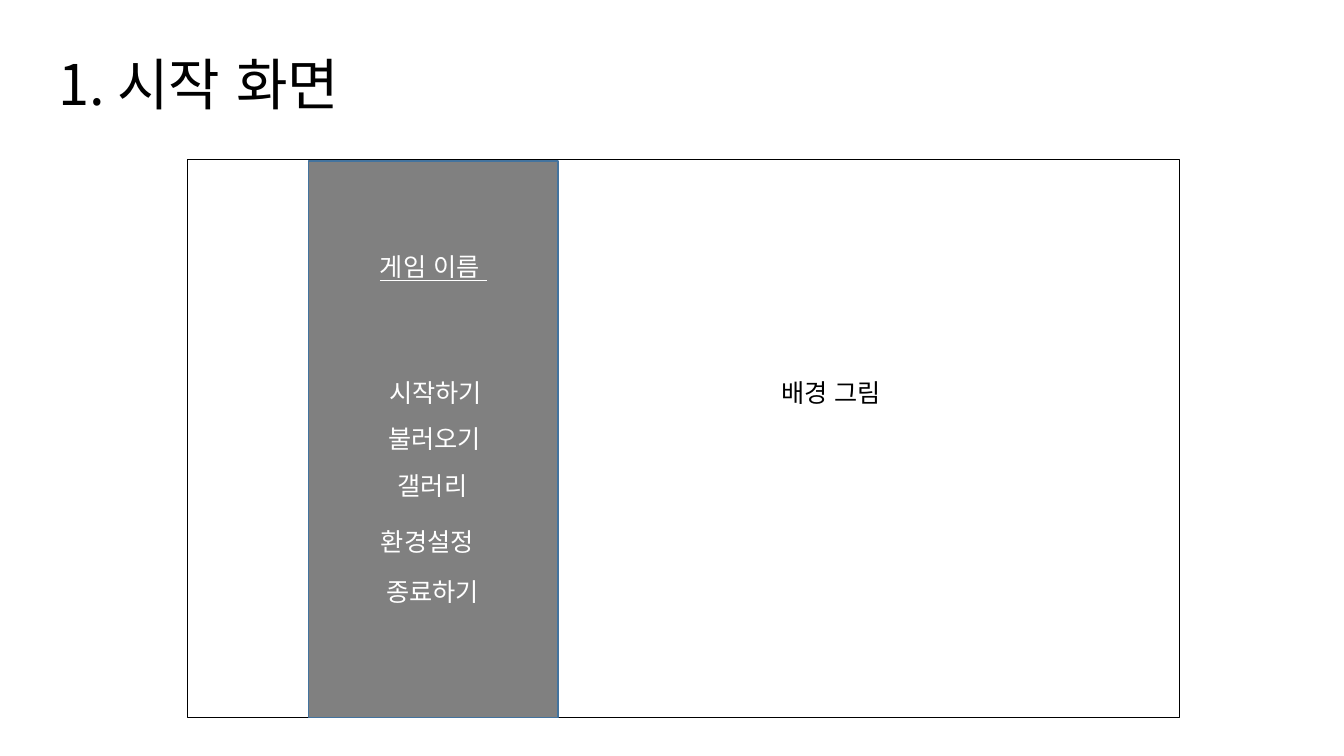
import pptx
import pptx.dml.color
import pptx.enum.lang
import pptx.enum.shapes
import pptx.enum.text
import pptx.util
import lxml.etree
from dataclasses import dataclass

Pt = pptx.util.Pt
RGBColor = pptx.dml.color.RGBColor
Align = pptx.enum.text.PP_ALIGN
Anchor = pptx.enum.text.MSO_ANCHOR


@dataclass(frozen=True)
class Theme:
    font: str = "Noto Sans CJK KR"
    title_size: int = 40
    label_size: int = 18
    black: RGBColor = RGBColor(0, 0, 0)
    white: RGBColor = RGBColor(255, 255, 255)
    menu_fill: RGBColor = RGBColor(0x80, 0x80, 0x80)
    menu_line: RGBColor = RGBColor(0x43, 0x73, 0x9E)


theme = Theme()


def add_run(paragraph, text, size, color):
    run = paragraph.add_run()
    run.text = text
    run.font.size = Pt(size)
    run.font.name = theme.font
    run.font.language_id = pptx.enum.lang.MSO_LANGUAGE_ID.KOREAN
    run.font.color.rgb = color
    east_asian = lxml.etree.SubElement(run.font._element, pptx.oxml.ns.qn("a:ea"))
    east_asian.set("typeface", theme.font)
    return run


def add_label(slide, text, left, top, width, height, color, alignment):
    text_box = slide.shapes.add_textbox(Pt(left), Pt(top), Pt(width), Pt(height))
    text_frame = text_box.text_frame
    text_frame.word_wrap = True
    text_frame.auto_size = pptx.enum.text.MSO_AUTO_SIZE.SHAPE_TO_FIT_TEXT
    paragraph = text_frame.paragraphs[0]
    paragraph.alignment = alignment
    return add_run(paragraph, text, theme.label_size, color)


presentation = pptx.Presentation()
presentation.slide_width = Pt(960)
presentation.slide_height = Pt(540)
slide = presentation.slides.add_slide(presentation.slide_layouts[5])

panels = [
    (134, 114, 708.5, 398.6, theme.white, theme.black),
    (220.5, 115, 178, 397.5, theme.menu_fill, theme.menu_line),
]
for left, top, width, height, fill, line in panels:
    panel = slide.shapes.add_shape(
        pptx.enum.shapes.MSO_SHAPE.RECTANGLE, Pt(left), Pt(top), Pt(width), Pt(height)
    )
    panel.shadow.inherit = False
    panel.fill.solid()
    panel.fill.fore_color.rgb = fill
    panel.line.color.rgb = line
    panel.line.width = Pt(1)

title = slide.shapes.title
slide.shapes._spTree.append(title._element)
title.left, title.top, title.width, title.height = Pt(34.5), Pt(10.5), Pt(828), Pt(104)
title.text_frame.word_wrap = True
title.text_frame.vertical_anchor = Anchor.MIDDLE
title_paragraph = title.text_frame.paragraphs[0]
title_paragraph.alignment = Align.LEFT
title_paragraph.line_spacing = 0.9
add_run(title_paragraph, "1. 시작 화면", theme.title_size, theme.black)

game_name = add_label(slide, "게임 이름 ", 207.5, 176, 204, 51, theme.white, Align.CENTER)
game_name.font.underline = True

menu_items = [
    ("시작하기", 258, 265.7, 106.5, Align.CENTER),
    ("불러오기", 266.2, 299, 88.5, Align.CENTER),
    ("갤러리", 264.7, 332.3, 88.5, Align.CENTER),
    ("환경설정", 265, 372.2, 116.5, Align.LEFT),
    ("종료하기", 264.7, 408.2, 88.5, Align.CENTER),
]
for text, left, top, width, alignment in menu_items:
    add_label(slide, text, left, top, width, 29, theme.white, alignment)

add_label(slide, "배경 그림", 551, 265.7, 94.5, 29, theme.black, Align.LEFT)

presentation.save("out.pptx")
